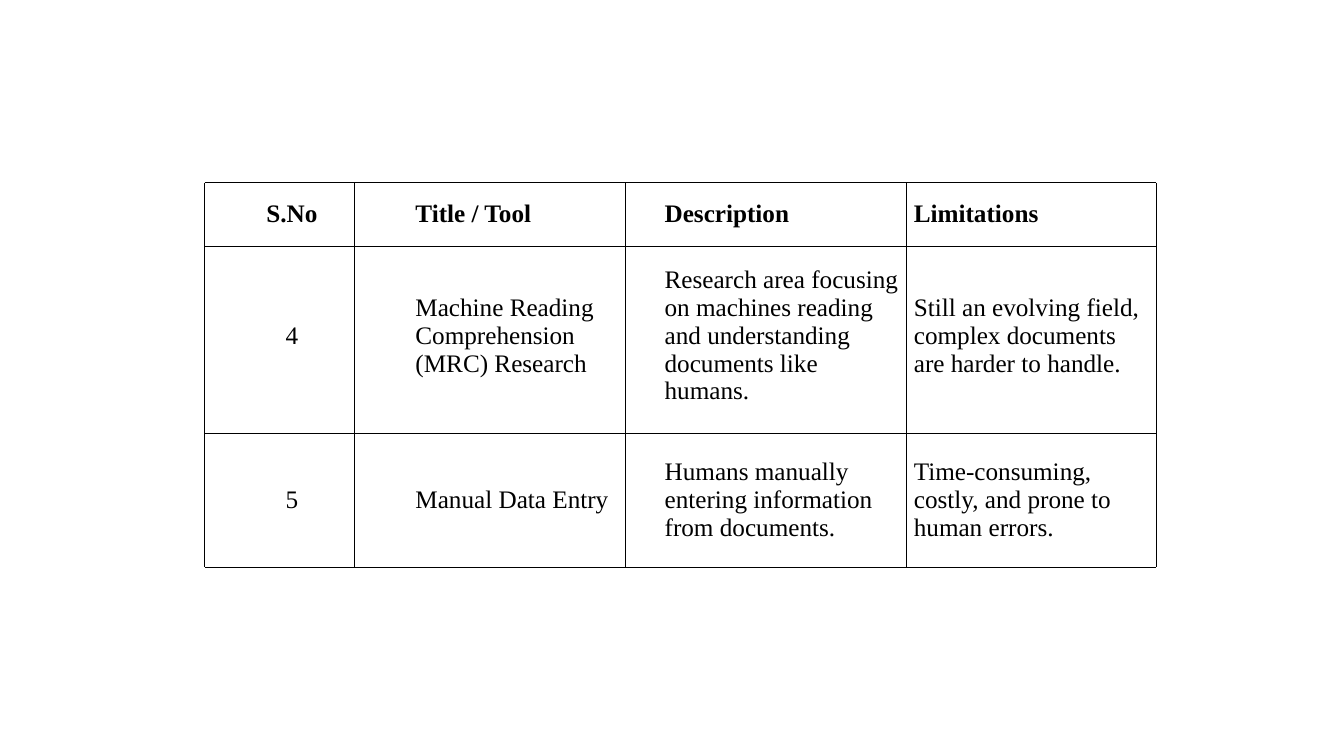
from lxml import etree
from pptx import Presentation
from pptx.dml.color import RGBColor
from pptx.enum.shapes import MSO_CONNECTOR as Connector
from pptx.enum.text import MSO_ANCHOR as Anchor, PP_ALIGN as Align
from pptx.oxml.ns import qn
from pptx.util import Cm, Pt

BLACK = RGBColor(0, 0, 0)
FONT = "Times New Roman"
NO_STYLE_NO_GRID = "{2D5ABB26-0587-4C30-8999-92F81FD0307C}"

TOOLS = [
    ["S.No", "Title / Tool", "Description", "Limitations"],
    ["4", "Machine Reading Comprehension (MRC) Research",
     "Research area focusing on machines reading and understanding "
     "documents like humans.",
     "Still an evolving field, complex documents are harder to handle."],
    ["5", "Manual Data Entry",
     "Humans manually entering information from documents.",
     "Time-consuming, costly, and prone to human errors."],
]
COLUMN_WIDTHS = [5.87, 6.28, 6.28, 6.28]
ROW_HEIGHTS = [1.45, 4.67, 3.61]

# Positions of the ruled lines in centimetres
RULE_XS = [5.16, 8.94, 15.75, 22.83, 29.13]
RULE_YS = [4.6, 6.22, 10.92, 14.3]


def write_text(frame, text, size=18, bold=False, align=Align.LEFT):
    paragraph = frame.paragraphs[0]
    paragraph.alignment = align
    run = paragraph.add_run()
    run.text = text
    run.font.name = FONT
    run.font.size = Pt(size)
    run.font.bold = bold
    run.font.color.rgb = BLACK


def fill_cell(cell, text, **text_format):
    cell.fill.background()
    cell.vertical_anchor = Anchor.MIDDLE
    cell.margin_left = cell.margin_right = Cm(0.18)
    cell.margin_top = cell.margin_bottom = Cm(0.1)
    write_text(cell.text_frame, text, **text_format)


def add_tools_table(slide):
    frame = slide.shapes.add_table(
        len(ROW_HEIGHTS), len(COLUMN_WIDTHS), Cm(4.42), Cm(4.67),
        Cm(sum(COLUMN_WIDTHS)), Cm(sum(ROW_HEIGHTS)))
    tools = frame.table
    tools.first_row = tools.horz_banding = False
    frame._element.find(".//" + qn("a:tableStyleId")).text = NO_STYLE_NO_GRID
    for column, width in zip(tools.columns, COLUMN_WIDTHS):
        column.width = Cm(width)
    for row, height in zip(tools.rows, ROW_HEIGHTS):
        row.height = Cm(height)
    for r, entries in enumerate(TOOLS):
        for c, entry in enumerate(entries):
            fill_cell(tools.cell(r, c), entry, bold=r == 0,
                      align=Align.CENTER if c == 0 else Align.LEFT)


def add_rule(slide, x1, y1, x2, y2):
    rule = slide.shapes.add_connector(
        Connector.STRAIGHT, Cm(x1), Cm(y1), Cm(x2), Cm(y2))
    rule.line.color.rgb = BLACK
    rule.line.width = Pt(0.5)
    etree.SubElement(rule._element.spPr, qn("a:effectLst"))


def add_grid(slide):
    for y in RULE_YS:
        add_rule(slide, RULE_XS[0], y, RULE_XS[-1], y)
    for x in RULE_XS:
        add_rule(slide, x, RULE_YS[0], x, RULE_YS[-1])


def main():
    deck = Presentation()
    deck.slide_width, deck.slide_height = Cm(33.87), Cm(19.05)
    slide = deck.slides.add_slide(deck.slide_layouts[6])
    add_tools_table(slide)
    add_grid(slide)
    deck.save("out.pptx")


if __name__ == "__main__":
    main()
